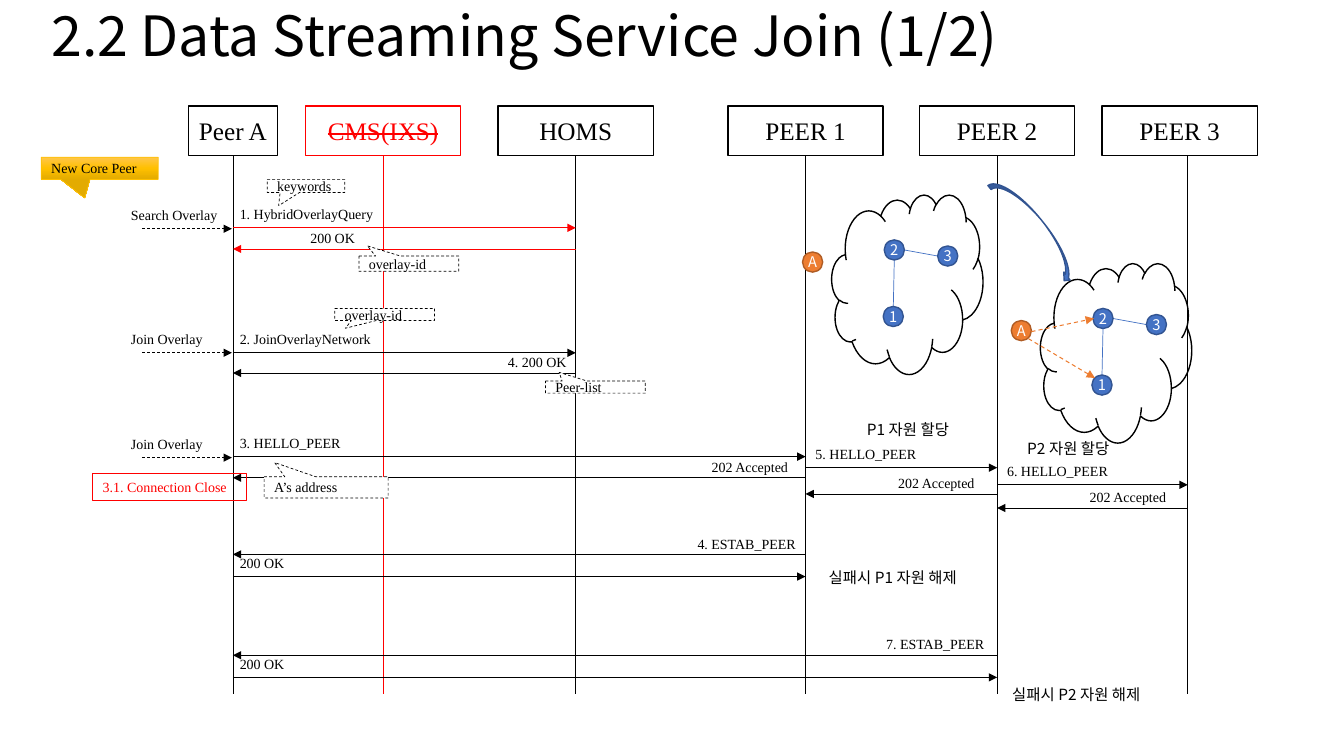
from copy import deepcopy
from dataclasses import dataclass

from lxml.etree import SubElement
from pptx import Presentation
from pptx.dml.color import RGBColor
from pptx.enum.dml import MSO_LINE
from pptx.enum.shapes import MSO_CONNECTOR, MSO_SHAPE
from pptx.enum.text import MSO_ANCHOR, MSO_AUTO_SIZE, PP_ALIGN
from pptx.oxml.ns import qn
from pptx.util import Inches, Pt


@dataclass(frozen=True)
class Theme:
    black: str = "000000"
    white: str = "FFFFFF"
    red: str = "FF0000"
    blue: str = "4472C4"
    navy: str = "325491"
    orange: str = "ED7D31"
    brown: str = "AF5C24"
    gold: str = "FFC000"
    shades: tuple = ((0, "FFC64B"), (0.5, "FFC000"), (1, "E3AB00"))
    serif: str = "Times New Roman"
    sans: str = "Noto Sans CJK KR"
    title: float = 39.6
    head: float = 18
    note: float = 11
    node: float = 10.5
    small: float = 10
    thin: float = 0.5
    mid: float = 0.75
    thick: float = 1


THEME = Theme()
LANES = {"A": 2.31, "CMS": 3.8, "HOMS": 5.71, "P1": 7.99, "P2": 9.89, "P3": 11.78}
HEADS = [
    ("Peer A", 1.87, 0.88, THEME.black),
    ("CMS(IXS)", 3.03, 1.54, THEME.red),
    ("HOMS", 4.94, 1.54, THEME.black),
    ("PEER 1", 7.22, 1.54, THEME.black),
    ("PEER 2", 9.12, 1.54, THEME.black),
    ("PEER 3", 10.93, 1.54, THEME.black),
]
CALLS = [
    ("A", "HOMS", 2.26, "1. HybridOverlayQuery", 2.28, THEME.red),
    ("HOMS", "A", 2.47, "200 OK", 2.98, THEME.red),
    ("A", "HOMS", 3.5, "2. JoinOverlayNetwork", 2.28, THEME.black),
    ("HOMS", "A", 3.7, "4. 200 OK", 4.94, THEME.black),
    ("A", "P1", 4.53, "3. HELLO_PEER", 2.28, THEME.black),
    ("P1", "A", 4.74, "202 Accepted", 6.96, THEME.black),
    ("P1", "P2", 4.64, "5. HELLO_PEER", 7.99, THEME.black),
    ("P2", "P1", 4.9, "202 Accepted", 8.81, THEME.black),
    ("P2", "P3", 4.81, "6. HELLO_PEER", 9.89, THEME.black),
    ("P3", "P2", 5.04, "202 Accepted", 10.71, THEME.black),
    ("P1", "A", 5.5, "4. ESTAB_PEER", 6.82, THEME.black),
    ("A", "P1", 5.72, "200 OK", 2.28, THEME.black),
    ("P2", "A", 6.5, "7. ESTAB_PEER", 8.69, THEME.black),
    ("A", "P2", 6.72, "200 OK", 2.28, THEME.black),
]
STARTS = [("Search Overlay", 2.27), ("Join Overlay", 3.5), ("Join Overlay", 4.54)]
HINTS = [
    ("keywords", 2.65, 1.78, 0.77, 0.13, (-0.352, 1.51)),
    ("overlay-id", 3.56, 2.54, 0.99, 0.15, (-0.415, -1.172)),
    ("overlay-id", 3.32, 3.06, 0.99, 0.12, (-0.392, 1.134)),
    ("Peer-list", 5.41, 3.78, 0.99, 0.12, (-0.362, -1.216)),
    ("A’s address", 2.62, 4.73, 1.23, 0.21, (-0.415, -1.172)),
]
NOTES = [
    ("P1 자원 할당", 8.5, 4.12, 1.1),
    ("P2 자원 할당", 10.09, 4.31, 1.1),
    ("실패시 P1 자원 해제", 8.12, 5.59, 1.62),
    ("실패시 P2 자원 해제", 9.94, 6.75, 1.62),
]
NODES = [("1", 0.51, 1.11), ("2", 0.52, 0.45), ("3", 1.05, 0.51)]
EDGES = [(0.72, 0.55, 1.05, 0.61), (0.61, 1.11, 0.62, 0.65)]
CLOUDS = [(8.25, 1.93), (10.32, 2.61)]


def write(shape, text, size=THEME.small, font=THEME.serif, color=THEME.black,
          align=PP_ALIGN.LEFT, anchor=MSO_ANCHOR.MIDDLE, wrap=True, inset=None,
          strike=False):
    frame = shape.text_frame
    frame.auto_size = MSO_AUTO_SIZE.NONE
    frame.word_wrap = wrap
    frame.vertical_anchor = anchor
    if inset is not None:
        frame.margin_left = frame.margin_right = Inches(inset)
        frame.margin_top = frame.margin_bottom = Inches(inset)
    para = frame.paragraphs[0]
    para.alignment = align
    run = para.add_run()
    run.text = text
    run.font.size = Pt(size)
    run.font.name = font
    run.font.color.rgb = RGBColor.from_string(color)
    props = run.font._element
    SubElement(props, qn("a:ea")).set("typeface", font)
    if strike:
        props.set("strike", "sngStrike")
    return para


def draw(slide, kind, left, top, width, height, fill=None, line=THEME.black,
         weight=THEME.thick, dash=False):
    shape = slide.shapes.add_shape(
        kind, Inches(left), Inches(top), Inches(width), Inches(height))
    shape.shadow.inherit = False
    if fill:
        shape.fill.solid()
        shape.fill.fore_color.rgb = RGBColor.from_string(fill)
    else:
        shape.fill.background()
    shape.line.color.rgb = RGBColor.from_string(line)
    shape.line.width = Pt(weight)
    if dash:
        shape.line.dash_style = MSO_LINE.DASH
    return shape


def link(slide, ends, color=THEME.black, weight=THEME.thin, dash=False, tip=False):
    line = slide.shapes.add_connector(
        MSO_CONNECTOR.STRAIGHT, *[Inches(end) for end in ends])
    line.line.color.rgb = RGBColor.from_string(color)
    line.line.width = Pt(weight)
    if dash:
        line.line.dash_style = MSO_LINE.DASH
    if tip:
        SubElement(line.line._get_or_add_ln(), qn("a:tailEnd")).set("type", "triangle")
    SubElement(line._element.spPr, qn("a:effectLst"))


def label(slide, text, left, top, width=1.76, height=0.27, **style):
    box = slide.shapes.add_textbox(
        Inches(left), Inches(top), Inches(width), Inches(height))
    write(box, text, anchor=MSO_ANCHOR.TOP, **style)


def hint(slide, text, left, top, width, height, point, **style):
    shape = draw(slide, MSO_SHAPE.RECTANGULAR_CALLOUT, left, top, width, height,
                 weight=THEME.thin, **style)
    shape.adjustments[0], shape.adjustments[1] = point
    write(shape, text)
    return shape


def shade(shape, shades):
    shape.fill.gradient()
    shape.fill.gradient_angle = 270
    stops = shape._element.spPr.find(".//" + qn("a:gsLst"))
    stops.insert(1, deepcopy(stops[0]))
    for stop, (place, color) in zip(shape.fill.gradient_stops, shades):
        stop.position = place
        stop.color.rgb = RGBColor.from_string(color)


def node(slide, text, left, top, fill=THEME.blue, line=THEME.navy):
    dot = draw(slide, MSO_SHAPE.OVAL, left, top, 0.2, 0.2, fill, line)
    write(dot, text, size=THEME.node, font=THEME.sans, color=THEME.white,
          align=PP_ALIGN.CENTER, wrap=False, inset=0)


def mesh(slide, left, top):
    for x1, y1, x2, y2 in EDGES:
        link(slide, (left + x1, top + y1, left + x2, top + y2), THEME.blue)
    for text, x, y in NODES:
        node(slide, text, left + x, top + y)
    node(slide, "A", left - 0.29, top + 0.57, THEME.orange, THEME.brown)


def main():
    deck = Presentation()
    deck.slide_width, deck.slide_height = Inches(13.33), Inches(7.5)
    slide = deck.slides.add_slide(deck.slide_layouts[5])
    title = slide.shapes.title
    title.left, title.top = Inches(0.41), Inches(0.02)
    title.width, title.height = Inches(12.47), Inches(0.72)
    para = write(title, "2.2 Data Streaming Service Join (1/2)",
                 size=THEME.title, font=THEME.sans)
    para.line_spacing = 0.9

    for left, top in CLOUDS:
        draw(slide, MSO_SHAPE.CLOUD, left, top, 1.5, 1.78, THEME.white)
    for x, (text, left, width, color) in zip(LANES.values(), HEADS):
        link(slide, (x, 1.54, x, 6.89), color)
        box = draw(slide, MSO_SHAPE.RECTANGLE, left, 1.05, width, 0.49, line=color)
        write(box, text, size=THEME.head, color=color, align=PP_ALIGN.CENTER,
              wrap=False, strike=color == THEME.red)
    for text, y in STARTS:
        link(slide, (1.41, y, 2.3, y), dash=True, tip=True)
        label(slide, text, 1.2, y - 0.27, 1.34)
    for start, end, y, text, left, color in CALLS:
        link(slide, (LANES[start], y, LANES[end], y), color, tip=True)
        rise = 0.27 if LANES[start] < LANES[end] else 0.24
        label(slide, text, left, y - rise)
    for spot in HINTS:
        hint(slide, *spot, fill=THEME.white, dash=True)
    badge = hint(slide, "New Core Peer", 0.41, 1.56, 1.16, 0.22, (-0.128, 1.342),
                 line=THEME.gold)
    shade(badge, THEME.shades)

    for left, top in CLOUDS:
        mesh(slide, left, top)
    for ends in [(10.23, 3.29, 10.85, 3.16), (10.2, 3.36, 10.86, 3.75)]:
        link(slide, ends, THEME.orange, THEME.mid, dash=True, tip=True)
    swoop = draw(slide, MSO_SHAPE.CURVED_DOWN_ARROW, 9.64, 2.17, 1.26, 0.2,
                 THEME.blue, THEME.navy)
    swoop.rotation = 51.3
    for text, left, top, width in NOTES:
        label(slide, text, left, top, width, 0.29, size=THEME.note,
              font=THEME.sans, wrap=False)
    close = draw(slide, MSO_SHAPE.RECTANGLE, 0.92, 4.7, 1.53, 0.27,
                 line=THEME.red, weight=THEME.mid)
    write(close, "3.1. Connection Close", color=THEME.red, anchor=MSO_ANCHOR.TOP)
    deck.save("out.pptx")


if __name__ == "__main__":
    main()
